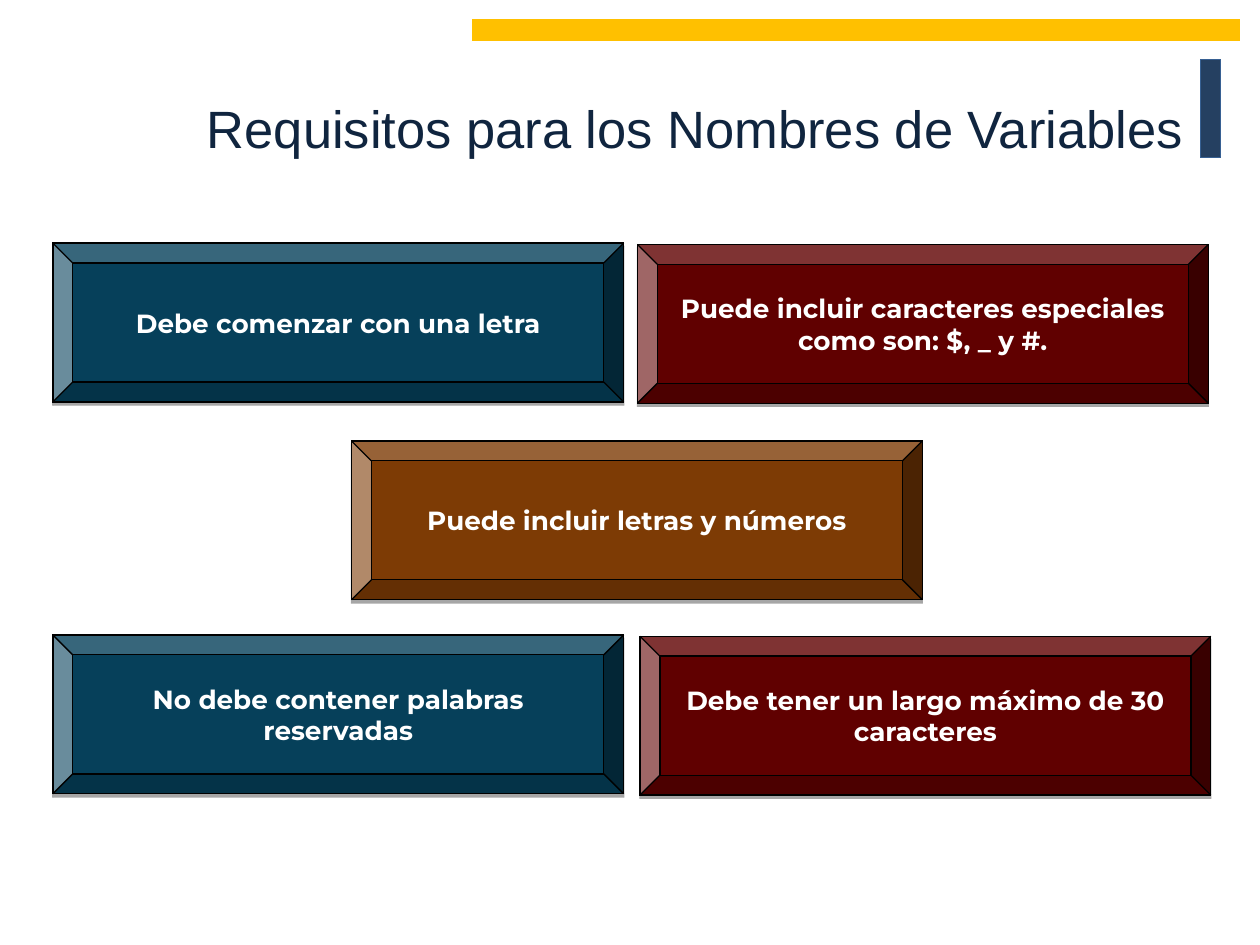
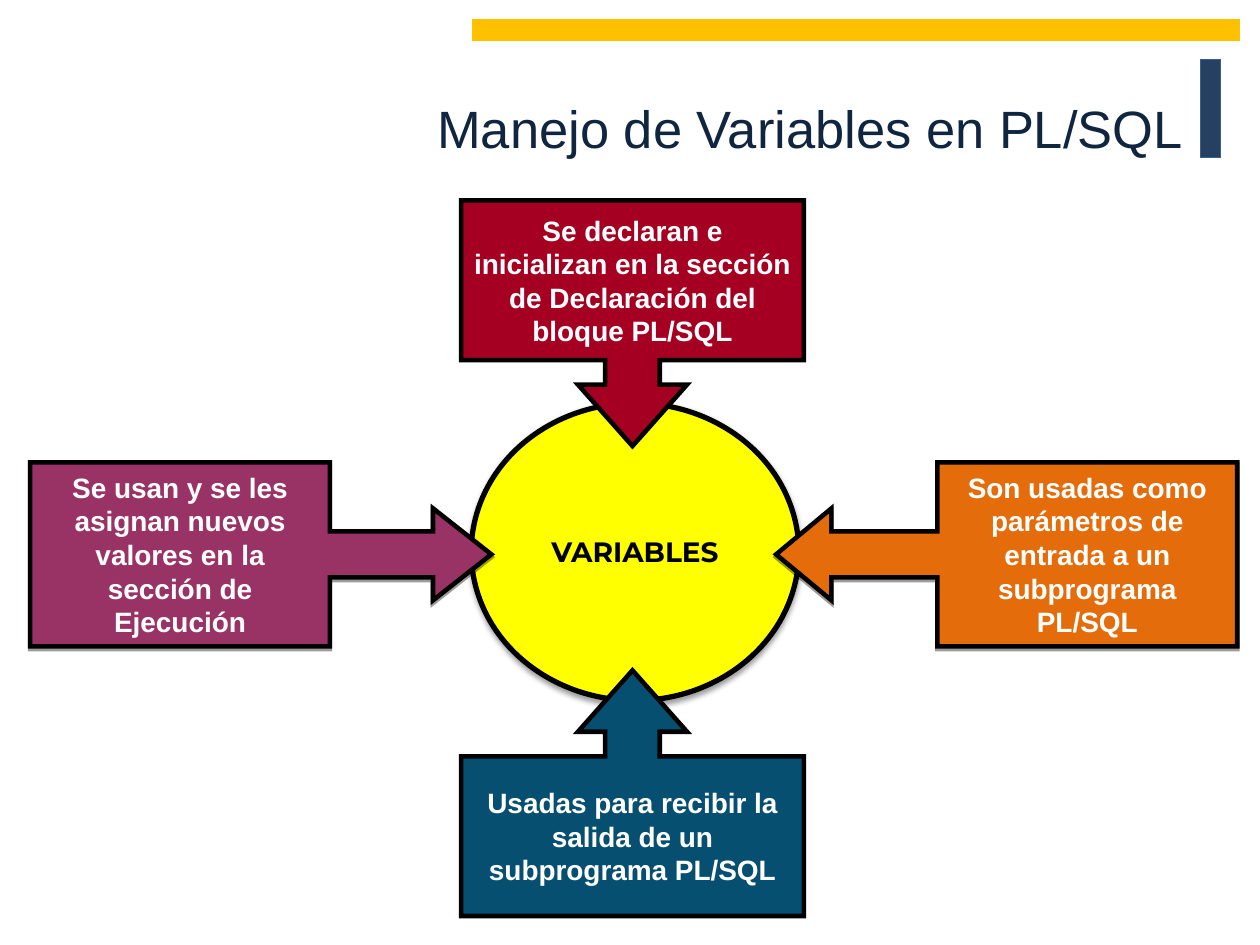
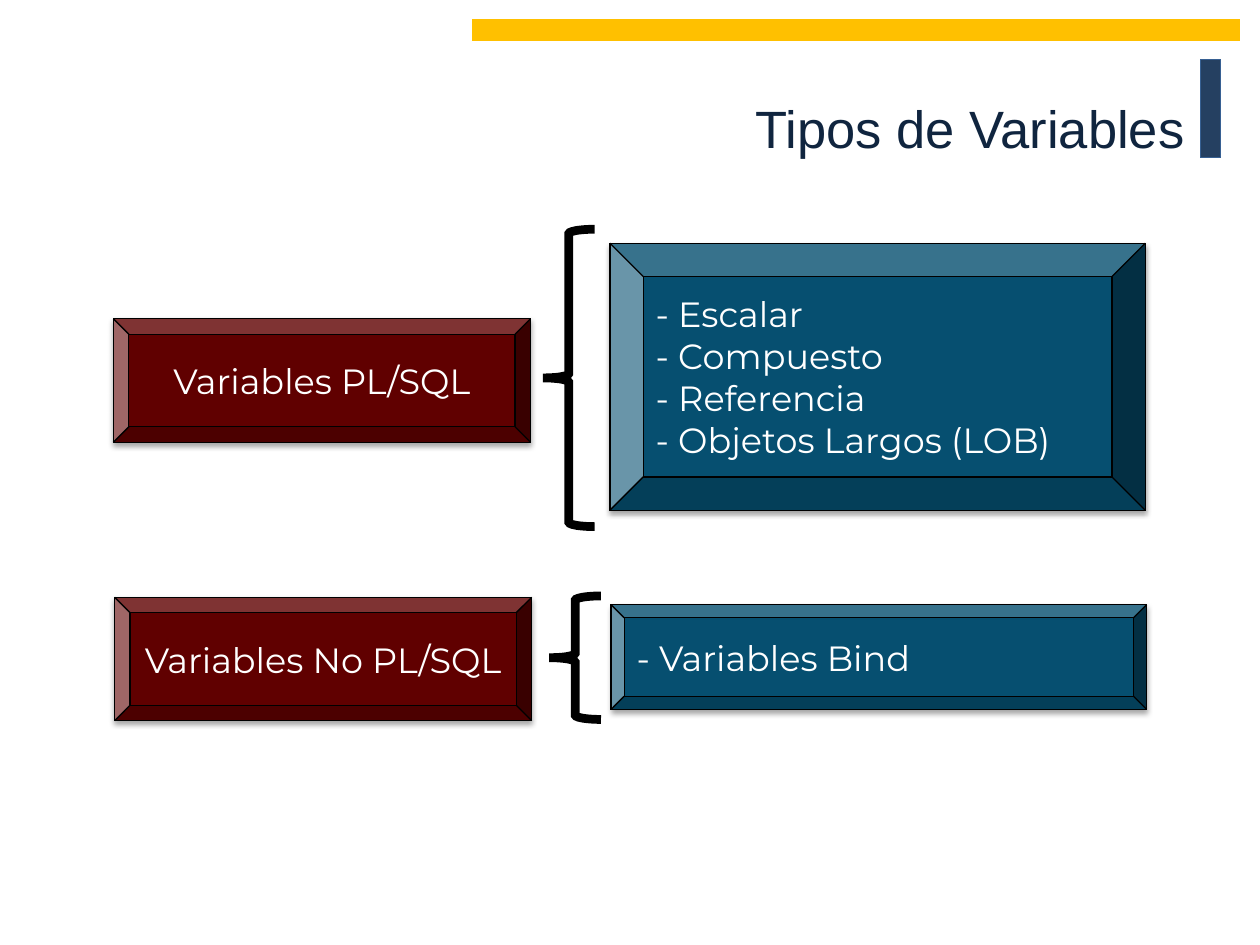
from lxml import etree
from pptx import Presentation
from pptx.dml.color import RGBColor
from pptx.enum.shapes import MSO_SHAPE
from pptx.enum.text import MSO_ANCHOR, PP_ALIGN
from pptx.oxml.ns import qn
from pptx.util import Inches, Pt

RECTANGLE, ELLIPSE, BEVEL = MSO_SHAPE.RECTANGLE, MSO_SHAPE.OVAL, MSO_SHAPE.BEVEL
LEFT_BRACE = MSO_SHAPE.LEFT_BRACE
RIGHT_CALLOUT = MSO_SHAPE.RIGHT_ARROW_CALLOUT
LEFT_CALLOUT = MSO_SHAPE.LEFT_ARROW_CALLOUT
DOWN_CALLOUT = MSO_SHAPE.DOWN_ARROW_CALLOUT
UP_CALLOUT = MSO_SHAPE.UP_ARROW_CALLOUT
LEFT, CENTER, RIGHT = PP_ALIGN.LEFT, PP_ALIGN.CENTER, PP_ALIGN.RIGHT
MIDDLE = MSO_ANCHOR.MIDDLE

COLORS = {
    "white": "FFFFFF", "black": "000000", "title": "10253F",
    "navy": "254061", "navy_edge": "376092", "gold": "FFC000",
    "deep_teal": "06405A", "teal": "064F70", "maroon": "600000",
    "brown": "7D3B05", "yellow": "FFFF00", "plum": "993366",
    "orange": "E46C0A", "crimson": "A50021",
}


class Deck:
    """Holds the style and the current slide."""

    heading_font, body_font = "Arial", "Montserrat"

    def __init__(self, width, height):
        self.presentation = Presentation()
        self.presentation.slide_width = Inches(width)
        self.presentation.slide_height = Inches(height)
        self.slide = None

    def color(self, name):
        return RGBColor.from_string(COLORS[name])

    def new_slide(self, title, title_left=0.97):
        layout = self.presentation.slide_layouts[6]
        self.slide = self.presentation.slides.add_slide(layout)
        # Corner bands
        self.shape(RECTANGLE, (9.53, 0.47, 0.16, 0.78), "navy", "navy_edge")
        self.shape(RECTANGLE, (3.75, 0.16, 6.09, 0.16), "gold", "gold")
        # Title
        box = self.slide.shapes.add_textbox(
            *map(Inches, (title_left, 0.21, 8.52, 1.6)))
        self.text(box, [title], 30, "title", self.heading_font, align=RIGHT)

    def text(self, shape, lines, size, color="white", font=body_font,
             bold=False, align=CENTER, side_margin=0.1):
        frame = shape.text_frame
        frame_format = {
            "word_wrap": True, "vertical_anchor": MIDDLE,
            "margin_left": Inches(side_margin),
            "margin_right": Inches(side_margin),
        }
        for name, value in frame_format.items():
            setattr(frame, name, value)
        font_format = {"name": font, "size": Pt(size), "bold": bold}
        for index, line in enumerate(lines):
            paragraph = frame.add_paragraph() if index else frame.paragraphs[0]
            paragraph.alignment = align
            run = paragraph.add_run()
            run.text = line
            for name, value in font_format.items():
                setattr(run.font, name, value)
            run.font.color.rgb = self.color(color)

    def shape(self, kind, box, fill=None, line="black", width=0.75,
              adjustments=(), shadow=None):
        shape = self.slide.shapes.add_shape(kind, *map(Inches, box))
        for index, value in enumerate(adjustments):
            shape.adjustments[index] = value
        if fill:
            shape.fill.solid()
            shape.fill.fore_color.rgb = self.color(fill)
        else:
            shape.fill.background()
        shape.line.color.rgb = self.color(line)
        shape.line.width = Pt(width)
        outline = shape._element.spPr.find(qn("a:ln"))
        etree.SubElement(outline, qn("a:miter"), lim="800000")
        shape.shadow.inherit = False
        if shadow:
            self.drop_shadow(shape, *shadow)
        return shape

    def drop_shadow(self, shape, opacity, blur, distance):
        effects = shape._element.spPr.find(qn("a:effectLst"))
        outer = etree.SubElement(
            effects, qn("a:outerShdw"), blurRad=str(Pt(blur)),
            dist=str(Pt(distance)), dir="5400000", rotWithShape="0")
        color = etree.SubElement(outer, qn("a:srgbClr"), val=COLORS["black"])
        etree.SubElement(color, qn("a:alpha"), val=str(opacity * 1000))

    def bevel(self, box, fill, lines, size, blur=3.1, bold=False, align=CENTER):
        shape = self.shape(BEVEL, box, fill, adjustments=[0.125],
                           shadow=(35, blur, 1.8))
        self.text(shape, lines, size, bold=bold, align=align)

    def callout(self, kind, box, fill, words, adjustments, shadow=None):
        shape = self.shape(kind, box, fill, width=2.6,
                           adjustments=adjustments, shadow=shadow)
        self.text(shape, [words], 16, font=self.heading_font, bold=True,
                  side_margin=0.09)

    def brace(self, box):
        self.shape(LEFT_BRACE, box, width=5)


deck = Deck(10, 7.5)

# Slide 1: naming rules
deck.new_slide("Requisitos para los Nombres de Variables")
rules = [
    (0.42, 1.93, "deep_teal", "Debe comenzar con una letra"),
    (5.06, 1.94, "maroon",
     "Puede incluir caracteres especiales como son: $, _ y #."),
    (0.42, 5.04, "deep_teal", "No debe contener palabras reservadas"),
    (2.79, 3.5, "brown", "Puede incluir letras y números"),
    (5.08, 5.05, "maroon", "Debe tener un largo máximo de 30 caracteres"),
]
for left, top, fill, words in rules:
    deck.bevel((left, top, 4.53, 1.26), fill, [words], 15, blur=0, bold=True)

# Slide 2: uses around the central ellipse
deck.new_slide("Manejo de Variables en PL/SQL")
hub = deck.shape(ELLIPSE, (3.74, 3.2, 2.6, 2.36), "yellow", width=3,
                 shadow=(38, 3.1, 1.6))
deck.text(hub, ["VARIABLES"], 16, "black", bold=True)
side_uses = [
    (RIGHT_CALLOUT, 0.24, "plum", 0.317,
     "Se usan y se les asignan nuevos valores en la sección de Ejecución"),
    (LEFT_CALLOUT, 6.16, "orange", 0.301,
     "Son usadas como parámetros de entrada a un subprograma PL/SQL"),
]
for kind, left, fill, head, words in side_uses:
    deck.callout(kind, (left, 3.67, 3.66, 1.46), fill, words,
                 (0.25, 0.25, head, 0.65), shadow=(38, 0, 1.6))
vertical_uses = [
    (DOWN_CALLOUT, 1.59, "crimson",
     "Se declaran e inicializan en la sección de Declaración del bloque PL/SQL"),
    (UP_CALLOUT, 5.32, "teal",
     "Usadas para recibir la salida de un subprograma PL/SQL"),
]
for kind, top, fill, words in vertical_uses:
    deck.callout(kind, (3.66, top, 2.72, 1.95), fill, words,
                 (0.222, 0.222, 0.25, 0.65))

# Slide 3: each family of variables, its brace and its types
deck.new_slide("Tipos de Variables", title_left=0.98)
families = [
    ("Variables PL/SQL", (0.9, 2.53, 3.31, 0.98), (4.31, 1.82, 0.41, 2.36),
     (4.84, 1.93, 4.25, 2.12),
     ["- Escalar", "- Compuesto", "- Referencia", "- Objetos Largos (LOB)"]),
    ("Variables No PL/SQL", (0.91, 4.74, 3.31, 0.98), (4.36, 4.73, 0.41, 0.98),
     (4.85, 4.8, 4.25, 0.83), ["- Variables Bind"]),
]
for family, family_box, brace_box, types_box, types in families:
    deck.bevel(types_box, "teal", types, 20, align=LEFT)
    deck.brace(brace_box)
    deck.bevel(family_box, "maroon", [family], 20)

deck.presentation.save("out.pptx")
